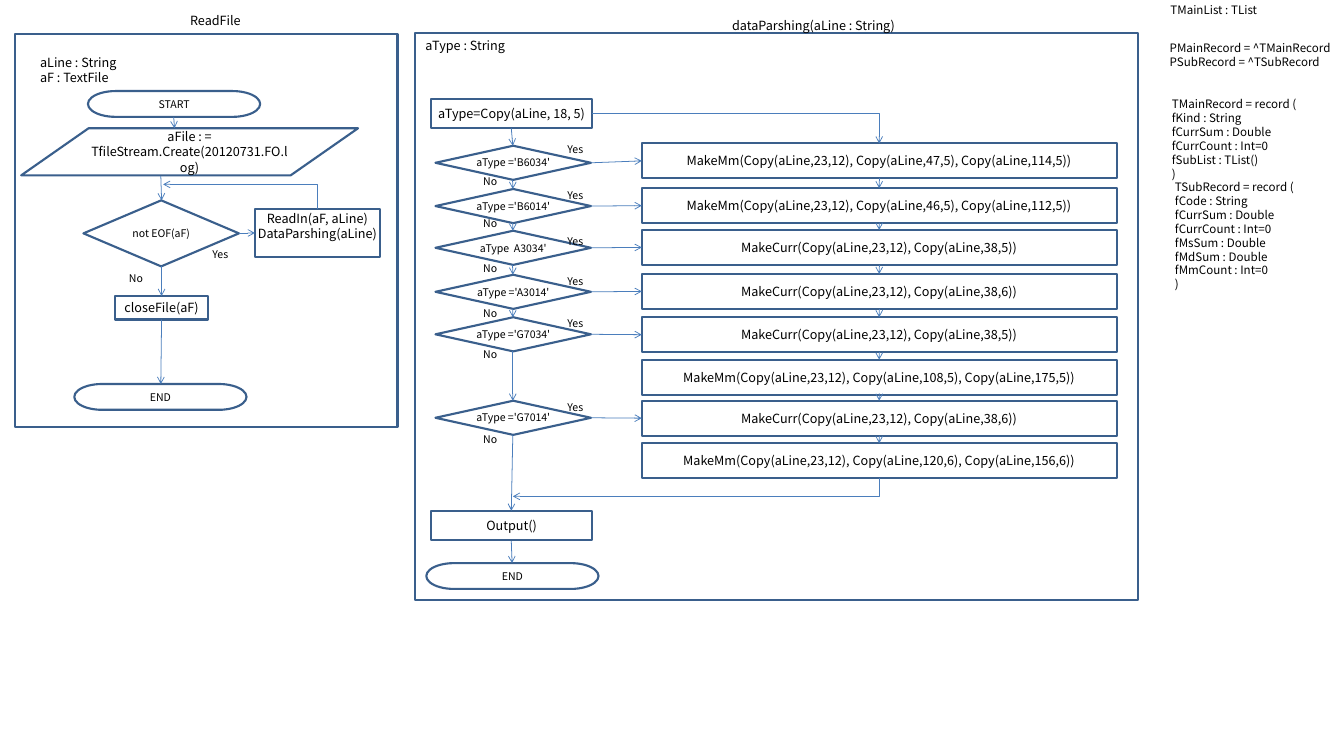
from itertools import pairwise

from lxml.etree import SubElement
from pptx import Presentation
from pptx.dml.color import RGBColor
from pptx.enum.shapes import MSO_CONNECTOR, MSO_SHAPE
from pptx.enum.text import MSO_ANCHOR, PP_ALIGN
from pptx.oxml.ns import qn
from pptx.util import Inches, Pt

CM_PER_INCH = 2.54
FONT = "Noto Sans CJK KR"
BLACK, OUTLINE, ARROW = "000000", "3A5F8C", "4B7EBC"
PADDING = (0.1, 0.05)
FLOW_X, STEP_X = 6.76, 11.59
DECISION_LEFT, DECISION_WIDTH, DECISION_HEIGHT = 5.74, 2.05, 0.45
STEP_LEFT, STEP_WIDTH, STEP_HEIGHT = 8.46, 6.26, 0.46

BRANCHES = [
    ("aType ='B6034'", 1.92, 1.89, 2.31),
    ("aType ='B6014'", 2.49, 2.49, 2.86),
    ("aType  A3034'", 3.04, 3.09, 3.45),
    ("aType ='A3014'", 3.62, 3.62, 4.04),
    ("aType ='G7034'", 4.18, 4.18, 4.59),
    ("aType ='G7014'", 5.28, 5.28, 5.71),
]
STEPS = [
    (1.89, "MakeMm(Copy(aLine,23,12), Copy(aLine,47,5), Copy(aLine,114,5))"),
    (2.48, "MakeMm(Copy(aLine,23,12), Copy(aLine,46,5), Copy(aLine,112,5))"),
    (3.03, "MakeCurr(Copy(aLine,23,12), Copy(aLine,38,5))"),
    (3.61, "MakeCurr(Copy(aLine,23,12), Copy(aLine,38,6))"),
    (4.18, "MakeCurr(Copy(aLine,23,12), Copy(aLine,38,5))"),
    (4.74, "MakeMm(Copy(aLine,23,12), Copy(aLine,108,5), Copy(aLine,175,5))"),
    (5.28, "MakeCurr(Copy(aLine,23,12), Copy(aLine,38,6))"),
    (5.84, "MakeMm(Copy(aLine,23,12), Copy(aLine,120,6), Copy(aLine,156,6))"),
]
DECLARATIONS = [
    (15.33, -0.01, 2.19, 0.29, "TMainList : TList"),
    (15.32, 0.49, 2.38, 0.47, "PMainRecord = ^TMainRecord\nPSubRecord = ^TSubRecord"),
    (15.35, 1.23, 1.91, 1.21,
     "TMainRecord = record (\nfKind : String\nfCurrSum : Double\n"
     "fCurrCount : Int=0\nfSubList : TList()\n)"),
    (15.39, 2.32, 1.91, 1.58,
     "TSubRecord = record (\nfCode : String\nfCurrSum : Double\n"
     "fCurrCount : Int=0\nfMsSum : Double\nfMdSum : Double\nfMmCount : Int=0\n)"),
]


def color(value):
    return RGBColor.from_string(value)


def apply_format(target, values):
    for name, value in values.items():
        setattr(target, name, value)


def write(shape, text, size, align, anchor, insets):
    frame = shape.text_frame
    horizontal, vertical = map(Inches, insets)
    apply_format(frame, {
        "word_wrap": True, "vertical_anchor": anchor,
        "margin_left": horizontal, "margin_right": horizontal,
        "margin_top": vertical, "margin_bottom": vertical,
    })
    for index, line in enumerate(text.split("\n")):
        paragraph = frame.add_paragraph() if index else frame.paragraphs[0]
        apply_format(paragraph, {"alignment": align, "line_spacing": Pt(size * 1.2)})
        run = paragraph.add_run()
        run.text = line
        apply_format(run.font, {"name": FONT, "size": Pt(size)})
        run.font.color.rgb = color(BLACK)


def add_label(slide, left, top, width, height, text, size=12,
              align=PP_ALIGN.LEFT, anchor=MSO_ANCHOR.TOP, insets=PADDING):
    box = slide.shapes.add_textbox(*map(Inches, (left, top, width, height)))
    write(box, text, size, align, anchor, insets)


def add_title(slide, left, top, width, height, text):
    add_label(slide, left, top, width, height, text, 12,
              PP_ALIGN.CENTER, MSO_ANCHOR.MIDDLE, (0, 0))


def add_answer(slide, left, top, text):
    add_label(slide, left, top, 0.33, 0.17, text, 10, insets=(0, 0))


def add_node(slide, kind, left, top, width, height, text="", size=12,
             anchor=MSO_ANCHOR.MIDDLE, insets=(0, 0)):
    shape = slide.shapes.add_shape(kind, *map(Inches, (left, top, width, height)))
    shape.shadow.inherit = False
    shape.fill.background()
    shape.line.color.rgb = color(OUTLINE)
    shape.line.width = Pt(2)
    if text:
        write(shape, text, size, PP_ALIGN.CENTER, anchor, insets)


def add_box(slide, *values, **options):
    add_node(slide, MSO_SHAPE.RECTANGLE, *values, **options)


def add_terminator(slide, left, top, text):
    add_node(slide, MSO_SHAPE.FLOWCHART_TERMINATOR, left, top, 2.27, 0.34, text, 10)


def add_decision(slide, left, top, height, text):
    add_node(slide, MSO_SHAPE.FLOWCHART_DECISION, left, top, DECISION_WIDTH, height,
             text, 10, insets=(0, 0.01))


def add_arrow(slide, start, end, kind=MSO_CONNECTOR.STRAIGHT):
    connector = slide.shapes.add_connector(kind, *map(Inches, (*start, *end)))
    connector.line.color.rgb = color(ARROW)
    connector.line.width = Pt(0.75)
    properties = connector._element.spPr
    SubElement(properties.find(qn("a:ln")), qn("a:tailEnd"), type="arrow")
    SubElement(properties, qn("a:effectLst"))
    return connector


def add_bent_arrow(slide, start, end, vertical_first=False):
    rotation = 0
    if vertical_first:
        middle_x, middle_y = (start[0] + end[0]) / 2, (start[1] + end[1]) / 2
        half_width, half_height = abs(end[1] - start[1]) / 2, abs(end[0] - start[0]) / 2
        rotation = 90
        if end[1] < start[1]:
            rotation, half_height = 270, -half_height
        start = middle_x - half_width, middle_y - half_height
        end = middle_x + half_width, middle_y + half_height
    properties = add_arrow(slide, start, end, MSO_CONNECTOR.ELBOW)._element.spPr
    properties.find(qn("a:prstGeom")).set("prst", "bentConnector2")
    properties.find(qn("a:xfrm")).set("rot", str(rotation * 60000))


def draw_read_file(slide):
    add_box(slide, 0.2, 0.45, 5.04, 5.18)
    add_title(slide, 0.2, 0.19, 5.28, 0.16, "ReadFile")
    add_label(slide, 0.43, 0.67, 1.34, 0.5, "aLine : String\naF : TextFile")
    add_terminator(slide, 1.16, 1.2, "START")
    add_node(slide, MSO_SHAPE.FLOWCHART_DATA, 0.28, 1.69, 4.44, 0.62,
             "aFile : = TfileStream.Create(20120731.FO.log)")
    add_decision(slide, 1.1, 2.64, 0.87, "not EOF(aF)")
    add_box(slide, 3.36, 2.76, 1.65, 0.63, "ReadIn(aF, aLine)\nDataParshing(aLine)",
            anchor=MSO_ANCHOR.TOP, insets=(0, 0.02))
    add_box(slide, 1.52, 3.9, 1.22, 0.31, "closeFile(aF)")
    add_terminator(slide, 0.98, 5.06, "END")
    add_answer(slide, 2.8, 3.27, "Yes")
    add_answer(slide, 1.7, 3.58, "No")
    for start, end in [
        ((2.29, 1.54), (2.3, 1.69)), ((2.12, 2.32), (2.13, 2.64)),
        ((3.15, 3.07), (3.36, 3.07)), ((2.13, 3.5), (2.13, 3.9)),
        ((2.13, 4.21), (2.12, 5.06)),
    ]:
        add_arrow(slide, start, end)
    add_bent_arrow(slide, (4.18, 2.76), (2.15, 2.43), vertical_first=True)


def draw_data_parshing(slide):
    add_box(slide, 5.47, 0.43, 9.53, 7.48)
    add_title(slide, 6.45, 0.16, 8.55, 0.35, "dataParshing(aLine : String)")
    add_label(slide, 5.51, 0.45, 2.65, 0.3, "aType : String")
    add_box(slide, 5.68, 1.3, 2.13, 0.39, "aType=Copy(aLine, 18, 5)")
    add_box(slide, 5.68, 6.73, 2.13, 0.39, "Output()")
    add_terminator(slide, 5.62, 7.42, "END")
    for top, text in STEPS:
        add_box(slide, STEP_LEFT, top, STEP_WIDTH, STEP_HEIGHT, text)
    for condition, top, yes_top, no_top in BRANCHES:
        add_decision(slide, DECISION_LEFT, top, DECISION_HEIGHT, condition)
        add_answer(slide, 7.48, yes_top, "Yes")
        add_answer(slide, 6.37, no_top, "No")
        step_top = min((step[0] for step in STEPS), key=lambda value: abs(value - top))
        add_arrow(slide, (DECISION_LEFT + DECISION_WIDTH, top + DECISION_HEIGHT / 2),
                  (STEP_LEFT, step_top + STEP_HEIGHT / 2))
    for upper, lower in pairwise(BRANCHES):
        add_arrow(slide, (FLOW_X, upper[1] + DECISION_HEIGHT), (FLOW_X, lower[1]))
    for upper, lower in pairwise(STEPS):
        add_arrow(slide, (STEP_X, upper[0] + STEP_HEIGHT), (STEP_X, lower[0]))
    add_arrow(slide, (6.74, 1.69), (FLOW_X, 1.92))
    add_arrow(slide, (FLOW_X, 5.73), (6.74, 6.73))
    add_arrow(slide, (6.74, 7.13), (6.75, 7.42))
    add_bent_arrow(slide, (7.81, 1.5), (STEP_X, 1.89))
    add_bent_arrow(slide, (STEP_X, 6.3), (FLOW_X, 6.54), vertical_first=True)


def main():
    presentation = Presentation()
    presentation.slide_width = Inches(45 / CM_PER_INCH)
    presentation.slide_height = Inches(25 / CM_PER_INCH)
    slide = presentation.slides.add_slide(presentation.slide_layouts[6])
    draw_read_file(slide)
    draw_data_parshing(slide)
    for left, top, width, height, text in DECLARATIONS:
        add_label(slide, left, top, width, height, text, 11)
    presentation.save("out.pptx")


main()
